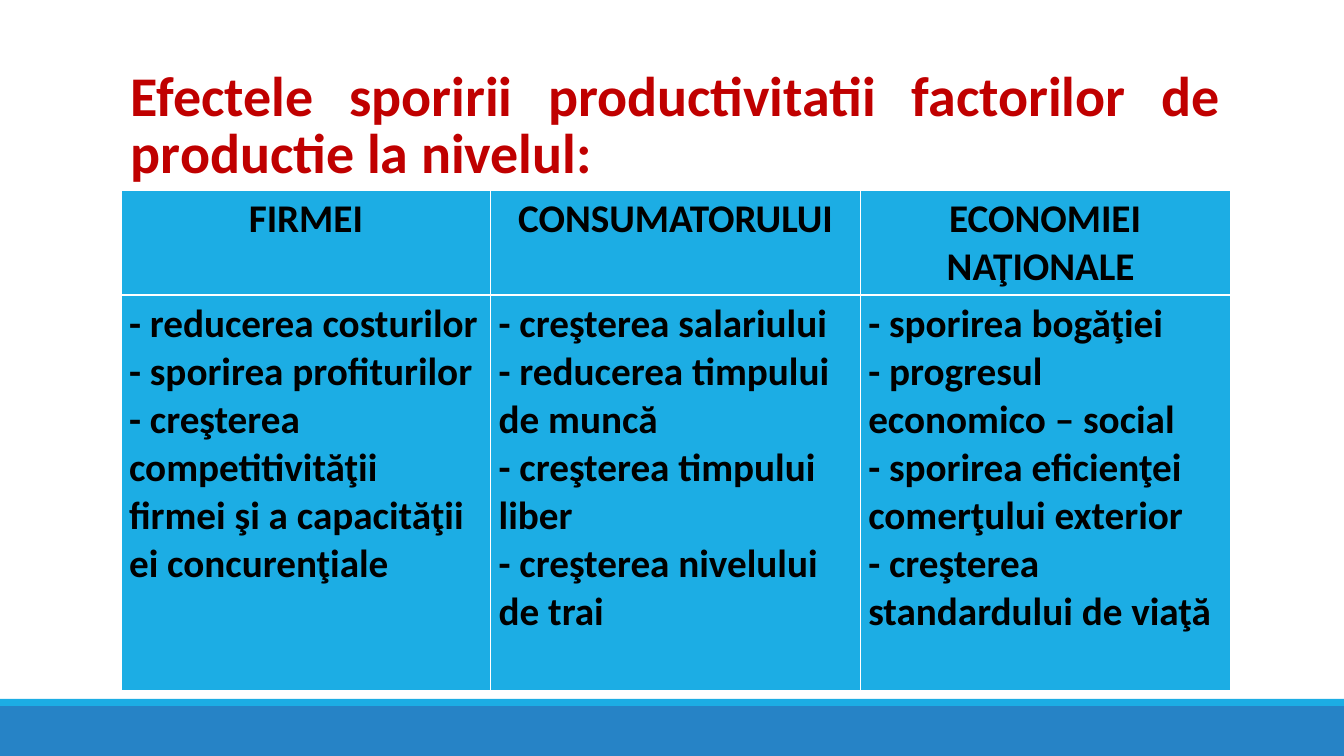
"""Slide on the effects of higher factor productivity, with a three-column table."""
from lxml.etree import SubElement
from pptx import Presentation
from pptx.dml.color import RGBColor
from pptx.enum.shapes import MSO_CONNECTOR, MSO_SHAPE
from pptx.enum.text import MSO_ANCHOR, PP_ALIGN
from pptx.oxml import parse_xml
from pptx.oxml.ns import nsdecls, qn
from pptx.util import Pt

SCALE = 9080
BLUE, CYAN, RED, GRAY, BLACK, WHITE = "2683C6", "1CADE4", "C00000", "7F7F7F", "000000", "FFFFFF"
THIN, THICK = 0.45, 1.47


def px(length):
    return length * SCALE


def color(value):
    return RGBColor.from_string(value)


presentation = Presentation()
presentation.slide_width = px(1343)
presentation.slide_height = px(755)
slide = presentation.slides.add_slide(presentation.slide_layouts[6])

for top, height, fill in [(705, 50, BLUE), (698, 7, CYAN)]:
    band = slide.shapes.add_shape(MSO_SHAPE.RECTANGLE, 0, px(top), px(1343), px(height))
    band.shadow.inherit = False
    band.fill.solid()
    band.fill.fore_color.rgb = color(fill)
    band.line.fill.background()

rule = slide.shapes.add_connector(MSO_CONNECTOR.STRAIGHT, px(132), px(191), px(1229), px(191))
rule.line.color.rgb = color(GRAY)
rule.line.width = Pt(0.5)
SubElement(rule.element.spPr, qn("a:effectLst"))

title = slide.shapes.add_textbox(px(121), px(30), px(1108), px(160))
title_frame = title.text_frame
title_frame.word_wrap = True
title_frame.vertical_anchor = MSO_ANCHOR.BOTTOM
title_frame.text = "Efectele sporirii productivitatii factorilor de productie la nivelul:"
paragraph = title_frame.paragraphs[0]
paragraph.alignment = PP_ALIGN.JUSTIFY
paragraph.line_spacing = 0.85
font = paragraph.runs[0].font
font.name, font.size, font.bold = "Calibri", Pt(40), True
font.color.rgb = color(RED)

columns = [
    ("FIRMEI", [
        "- reducerea costurilor",
        "- sporirea profiturilor",
        "- creşterea competitivităţii firmei şi a capacităţii ei concurenţiale",
    ]),
    ("CONSUMATORULUI", [
        "- creşterea salariului",
        "- reducerea timpului de muncă",
        "- creşterea timpului liber",
        "- creşterea nivelului de trai",
    ]),
    ("ECONOMIEI NAŢIONALE ", [
        "- sporirea bogăţiei",
        "- progresul economico – social",
        "- sporirea eficienţei comerţului exterior",
        "- creşterea standardului de viaţă",
    ]),
]
row_styles = [
    (105, PP_ALIGN.CENTER, {"lnL": THIN, "lnR": THIN, "lnT": THIN, "lnB": THICK}),
    (394, PP_ALIGN.LEFT, {"lnL": THIN, "lnR": THIN, "lnT": THICK, "lnB": THIN}),
]
table = slide.shapes.add_table(2, 3, px(121), px(190), px(1108), px(499)).table

for row_index, (height, alignment, borders) in enumerate(row_styles):
    table.rows[row_index].height = px(height)
    for column_index, (heading, effects) in enumerate(columns):
        cell = table.cell(row_index, column_index)
        cell.margin_left = cell.margin_right = px(8)
        cell.margin_top = cell.margin_bottom = px(5)
        cell.fill.solid()
        cell.fill.fore_color.rgb = color(CYAN)
        cell.text_frame.text = "\n".join(effects) if row_index else heading
        for paragraph in cell.text_frame.paragraphs:
            paragraph.alignment = alignment
            font = paragraph.runs[0].font
            font.name, font.size, font.bold = "Calibri", Pt(28), True
            font.color.rgb = color(BLACK)
        properties = cell._tc.get_or_add_tcPr()
        for position, (side, width) in enumerate(borders.items()):
            properties.insert(position, parse_xml(
                f'<a:{side} {nsdecls("a")} w="{Pt(width)}"><a:solidFill>'
                f'<a:srgbClr val="{WHITE}"/></a:solidFill></a:{side}>'))

presentation.save("out.pptx")
